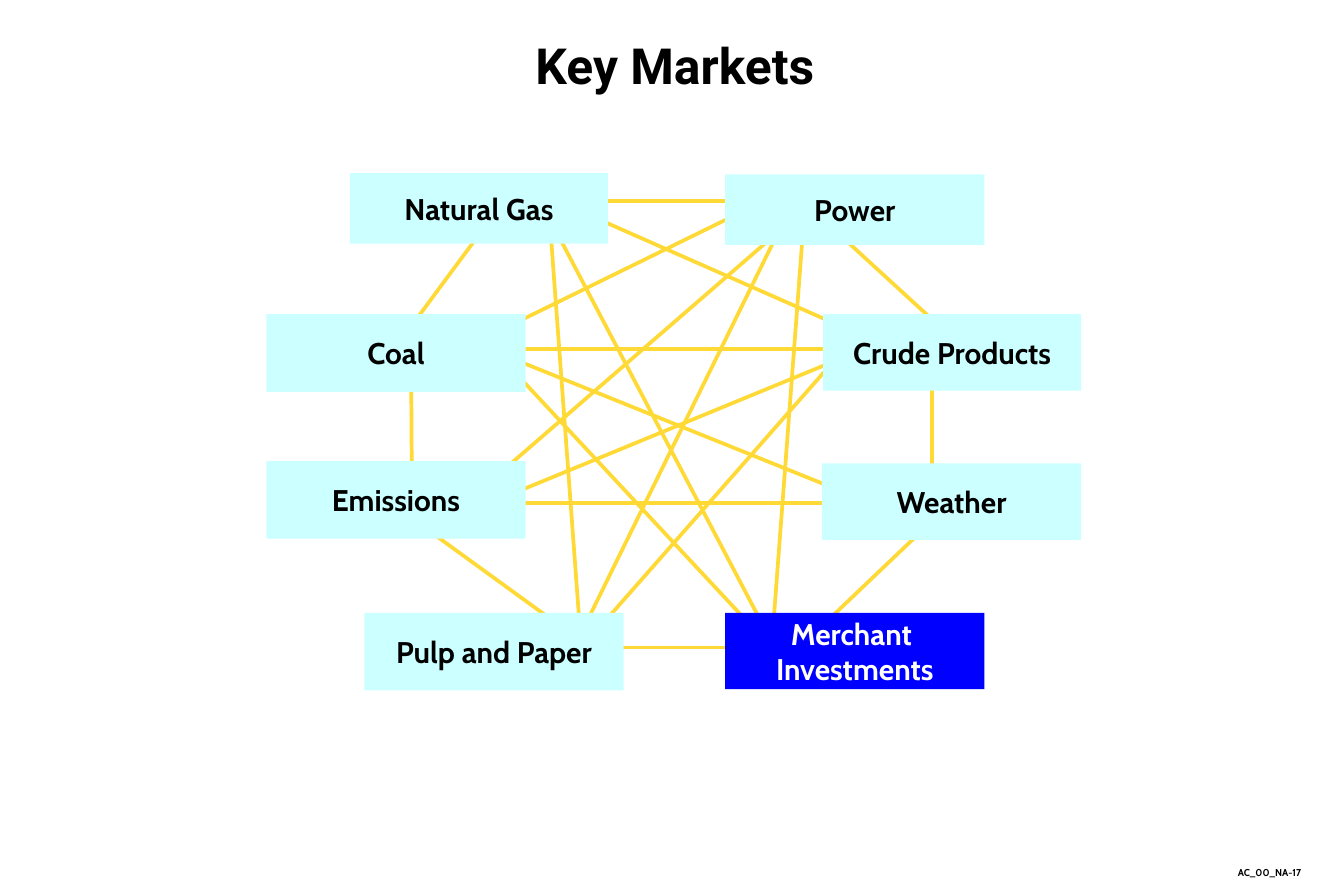
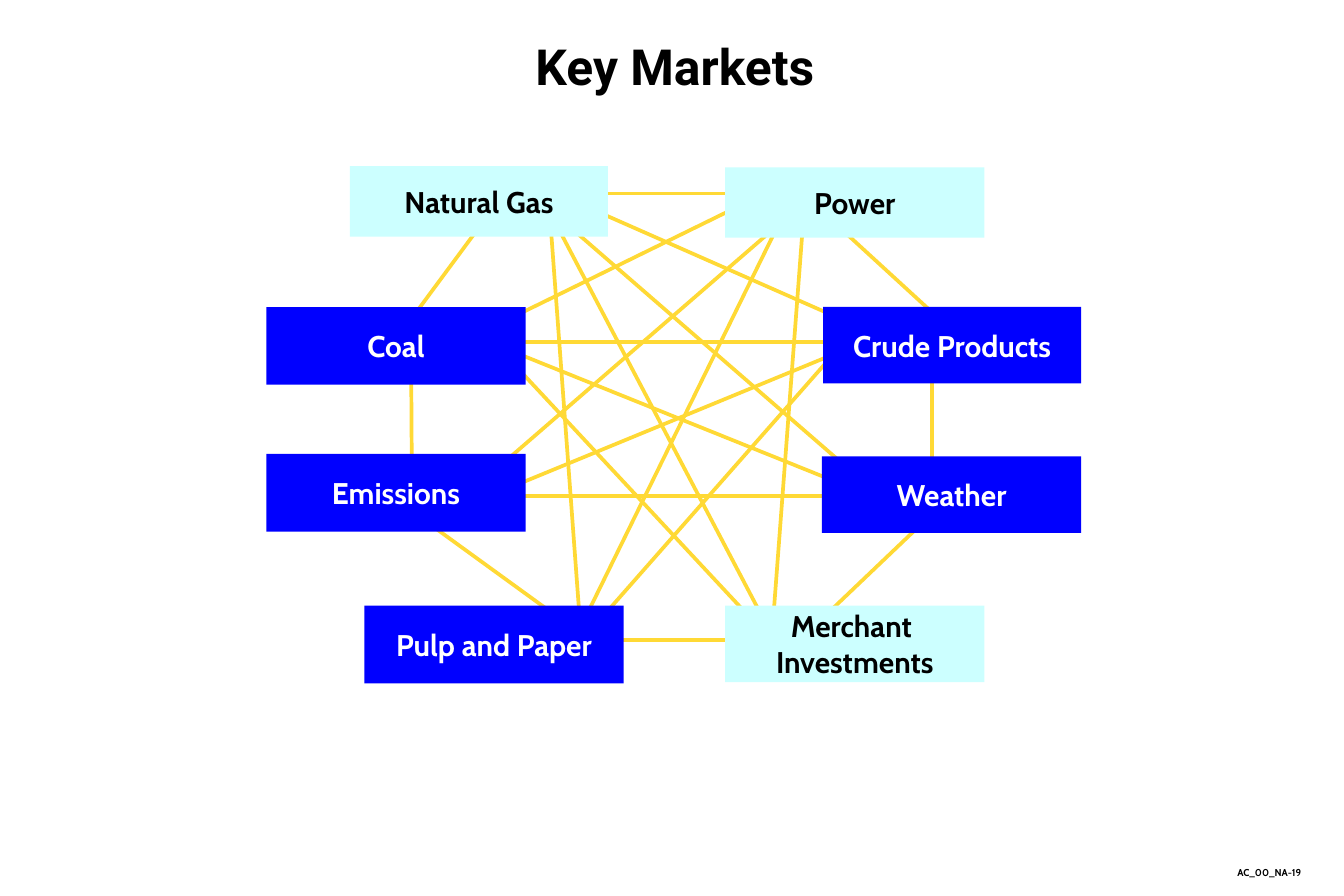
from lxml import etree
from pptx import Presentation
from pptx import util as u
from pptx.dml import color
from pptx.enum import shapes, text
from pptx.oxml import ns

SCALE = 9144
BLACK, WHITE = "000000", "FFFFFF"
PALE, BLUE, YELLOW = "CCFFFF", "0000FF", "FFD935"
TITLE_FONT = {"name": "Roboto", "size": u.Pt(30), "bold": True}
MARKET_FONT = {"name": "Cabin", "size": u.Pt(18), "bold": True}
FOOTER_FONT = {"name": "Cabin", "size": u.Pt(6), "bold": True}
TITLE_FRAME = {"word_wrap": True, "auto_size": text.MSO_AUTO_SIZE.SHAPE_TO_FIT_TEXT}
MARKET_FRAME = {"word_wrap": False, "vertical_anchor": text.MSO_ANCHOR.MIDDLE}


def rgb(value):
    return color.RGBColor.from_string(value)


def write(shape, wording, frame_format, font_format, font_color, alignment):
    frame = shape.text_frame
    frame.text = wording
    for name, value in frame_format.items():
        setattr(frame, name, value)
    for paragraph in frame.paragraphs:
        paragraph.alignment = alignment
        for name, value in font_format.items():
            setattr(paragraph.font, name, value)
        paragraph.font.color.rgb = rgb(font_color)


markets = [
    ("Natural Gas", 293, 145, 216, 59),
    ("Emissions", 223, 386, 217, 65),
    ("Coal", 223, 263, 217, 65),
    ("Crude Products", 689, 263, 216, 64),
    ("Pulp and Paper", 305, 513, 217, 65),
    ("Power", 607, 146, 217, 59),
    ("Weather", 688, 388, 217, 64),
    ("Merchant \nInvestments", 607, 513, 217, 64),
]
links = [
    (666, 545, 773, 443),
    (469, 524, 356, 442),
    (673, 182, 648, 514),
    (709, 298, 415, 419),
    (638, 169, 424, 274),
    (686, 181, 782, 269),
    (460, 182, 485, 521),
    (656, 185, 488, 527),
    (461, 185, 640, 526),
    (692, 309, 502, 525),
    (435, 316, 641, 537),
    (394, 421, 742, 421),
    (654, 192, 407, 406),
    (388, 292, 736, 292),
    (421, 297, 714, 415),
    (468, 169, 697, 270),
    (416, 176, 345, 272),
    (344, 281, 345, 447),
    (780, 285, 780, 441),
    (475, 168, 649, 168),
    (394, 542, 742, 542),
]
gas_to_weather = (484, 202, 719, 406)
pages = [
    (17, 24, 0, links, {"Merchant \nInvestments"}),
    (19, 25, -6, links + [gas_to_weather],
     {"Emissions", "Coal", "Crude Products", "Pulp and Paper", "Weather"}),
]

presentation = Presentation()
presentation.slide_width = 1125 * SCALE
presentation.slide_height = 750 * SCALE

for number, title_top, shift, page_links, highlighted in pages:
    slide = presentation.slides.add_slide(presentation.slide_layouts[6])

    footer = slide.shapes.add_textbox(*(n * SCALE for n in (975, 720, 124, 21)))
    write(footer, f"AC_00_NA-{number}", TITLE_FRAME, FOOTER_FONT, BLACK, text.PP_ALIGN.RIGHT)

    title = slide.shapes.add_textbox(*(n * SCALE for n in (40, title_top, 1050, 60)))
    write(title, "Key Markets", TITLE_FRAME, TITLE_FONT, BLACK, text.PP_ALIGN.CENTER)

    for x1, y1, x2, y2 in page_links:
        ends = (x1, y1 + shift, x2, y2 + shift)
        link = slide.shapes.add_connector(
            shapes.MSO_CONNECTOR.STRAIGHT, *(n * SCALE for n in ends))
        link.line.color.rgb = rgb(YELLOW)
        link.line.width = u.Pt(2.25)
        etree.SubElement(link._element.spPr, ns.qn("a:effectLst"))

    for name, left, top, width, height in markets:
        box = slide.shapes.add_shape(
            shapes.MSO_SHAPE.RECTANGLE,
            *(n * SCALE for n in (left, top + shift, width, height)))
        box.shadow.inherit = False
        box.line.fill.background()
        box.fill.solid()
        fill, ink = (BLUE, WHITE) if name in highlighted else (PALE, BLACK)
        box.fill.fore_color.rgb = rgb(fill)
        write(box, name, MARKET_FRAME, MARKET_FONT, ink, text.PP_ALIGN.CENTER)

presentation.save("out.pptx")
